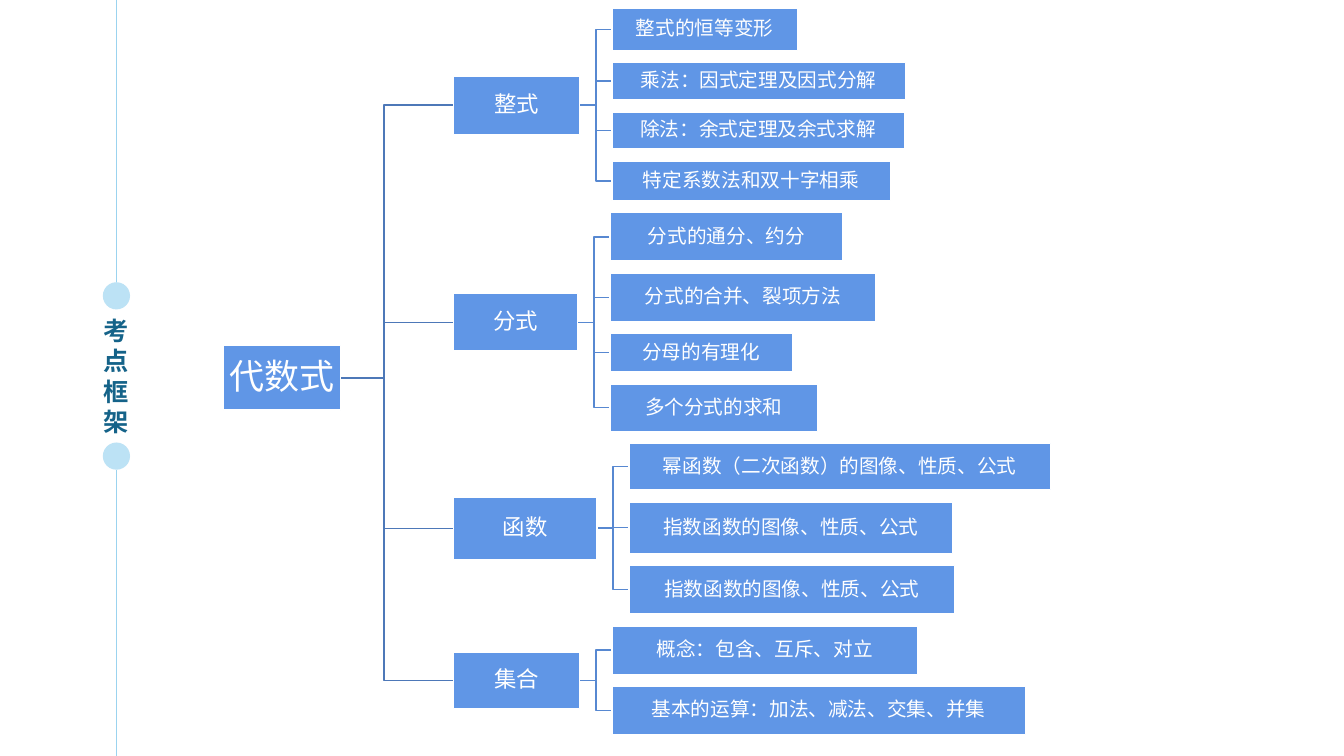
from dataclasses import dataclass

from lxml.etree import SubElement
from pptx import Presentation
from pptx.dml.color import RGBColor
from pptx.enum.shapes import MSO_CONNECTOR as Connector
from pptx.enum.shapes import MSO_SHAPE as Preset
from pptx.enum.text import MSO_ANCHOR as Anchor
from pptx.enum.text import PP_ALIGN as Align
from pptx.oxml.ns import qn
from pptx.util import Inches, Pt


@dataclass(frozen=True)
class Theme:
    font: str = "Arial"
    white: RGBColor = RGBColor(0xFF, 0xFF, 0xFF)
    box: RGBColor = RGBColor(0x60, 0x96, 0xE6)
    trunk_line: RGBColor = RGBColor(0x4D, 0x78, 0xB8)
    twig_line: RGBColor = RGBColor(0x57, 0x88, 0xD1)
    rail: RGBColor = RGBColor(0x9B, 0xD3, 0xEF)
    dot: RGBColor = RGBColor(0xBC, 0xE2, 0xF5)
    title: RGBColor = RGBColor(0x15, 0x63, 0x89)
    root_size: int = 25
    title_size: int = 18
    branch_size: int = 16
    leaf_size: int = 14


THEME = Theme()

# Each branch: label, width, height, leaves as (label, width, height)
BRANCHES = [
    ("整式", 1.25, 0.58, [
        ("整式的恒等变形", 1.84, 0.42),
        ("乘法：因式定理及因式分解", 2.91, 0.37),
        ("除法：余式定理及余式求解", 2.9, 0.37),
        ("特定系数法和双十字相乘", 2.76, 0.39),
    ]),
    ("分式", 1.23, 0.57, [
        ("分式的通分、约分", 2.31, 0.48),
        ("分式的合并、裂项方法", 2.64, 0.48),
        ("分母的有理化", 1.81, 0.38),
        ("多个分式的求和", 2.06, 0.47),
    ]),
    ("函数", 1.42, 0.62, [
        ("幂函数（二次函数）的图像、性质、公式", 4.18, 0.46),
        ("指数函数的图像、性质、公式", 3.21, 0.51),
        ("指数函数的图像、性质、公式", 3.23, 0.48),
    ]),
    ("集合", 1.25, 0.56, [
        ("概念：包含、互斥、对立", 3.03, 0.48),
        ("基本的运算：加法、减法、交集、并集", 4.1, 0.48),
    ]),
]


def write_text(shape, text, *, size, color, bold=None, inset=0.01, anchor=Anchor.MIDDLE,
               line_spacing=None, space_after=None):
    frame = shape.text_frame
    frame.word_wrap = True
    frame.vertical_anchor = anchor
    frame.margin_left = frame.margin_right = Inches(inset)
    frame.margin_top = frame.margin_bottom = Inches(min(inset, 0.05))
    paragraph = frame.paragraphs[0]
    paragraph.alignment = Align.CENTER
    paragraph.line_spacing = line_spacing
    paragraph.space_after = space_after
    run = paragraph.add_run()
    run.text = text
    run.font.name = THEME.font
    run.font.size = Pt(size)
    run.font.bold = bold
    run.font.color.rgb = color


def add_box(slide, text, left, middle, width, height, size, inset=0.01):
    """A labelled box centred vertically on middle."""
    shape = slide.shapes.add_shape(
        Preset.RECTANGLE, Inches(left), Inches(middle - height / 2), Inches(width), Inches(height))
    shape.shadow.inherit = False
    shape.fill.solid()
    shape.fill.fore_color.rgb = THEME.box
    shape.line.color.rgb = THEME.white
    shape.line.width = Pt(1)
    write_text(shape, text, size=size, color=THEME.white, inset=inset,
               line_spacing=0.9, space_after=Pt(size * 0.35))


def add_elbow(slide, start, end, color):
    """A right-angled line that turns halfway between start and end."""
    (x1, y1), (x2, y2) = start, end
    bend = (x1 + x2) / 2
    builder = slide.shapes.build_freeform(Inches(x1), Inches(y1))
    builder.add_line_segments(
        [(Inches(x), Inches(y)) for x, y in ((bend, y1), (bend, y2), (x2, y2))], close=False)
    elbow = builder.convert_to_shape()
    elbow.shadow.inherit = False
    elbow.fill.background()
    elbow.line.color.rgb = color
    elbow.line.width = Pt(1)


def add_title_rail(slide, left, top, width, height):
    """The upright title between two dots, with a rail to each slide edge."""
    center, dot = left + width / 2, 0.27
    dot_tops = (2.8, 4.39)
    for start, end in ((top, dot_tops[0]), (dot_tops[1] + dot, top + height)):
        rail = slide.shapes.add_connector(
            Connector.STRAIGHT, Inches(center), Inches(start), Inches(center), Inches(end))
        rail.line.color.rgb = THEME.rail
        rail.line.width = Pt(1.25)
        SubElement(rail._element.spPr, qn("a:effectLst"))
    for dot_top in dot_tops:
        shape = slide.shapes.add_shape(
            Preset.OVAL, Inches(center - dot / 2), Inches(dot_top), Inches(dot), Inches(dot))
        shape.shadow.inherit = False
        shape.fill.solid()
        shape.fill.fore_color.rgb = THEME.dot
        shape.line.fill.background()
    title = slide.shapes.add_textbox(Inches(left), Inches(3.08), Inches(width), Inches(1.31))
    write_text(title, "考点框架", size=THEME.title_size, color=THEME.title, bold=True,
               inset=0.1, anchor=Anchor.TOP)


def add_branch(slide, branch, left, top, gap, trunk_start):
    """One branch beside its stacked leaves; returns the top of the next stack."""
    label, width, height, leaves = branch
    middles = []
    for _, _, leaf_height in leaves:
        middles.append(top + leaf_height / 2)
        top += leaf_height + gap
    middle = (middles[0] + middles[-1]) / 2
    right = left + width
    leaf_left = right + 0.32

    # Lines first, so the boxes cover their ends
    add_elbow(slide, trunk_start, (left, middle), THEME.trunk_line)
    for leaf_middle in middles:
        add_elbow(slide, (right, middle), (leaf_left, leaf_middle), THEME.twig_line)

    add_box(slide, label, left, middle, width, height, THEME.branch_size)
    for (text, leaf_width, leaf_height), leaf_middle in zip(leaves, middles):
        add_box(slide, text, leaf_left, leaf_middle, leaf_width, leaf_height, THEME.leaf_size)
    return top


def add_tree(slide, left, top, height):
    """The root, its branches and their leaves."""
    middle = height / 2
    for branch in BRANCHES:
        top = add_branch(slide, branch, left + 2.28, top, 0.12, (left + 0.9, middle))
    add_box(slide, "代数式", left, middle, 1.16, 0.64, THEME.root_size, inset=0.02)


def main():
    presentation = Presentation()
    presentation.slide_width = Inches(13.33)
    presentation.slide_height = Inches(7.5)
    slide = presentation.slides.add_slide(presentation.slide_layouts[6])
    add_title_rail(slide, left=0.84, top=0, width=0.63, height=7.5)
    add_tree(slide, left=2.22, top=0.08, height=7.5)
    presentation.save("out.pptx")


if __name__ == "__main__":
    main()
